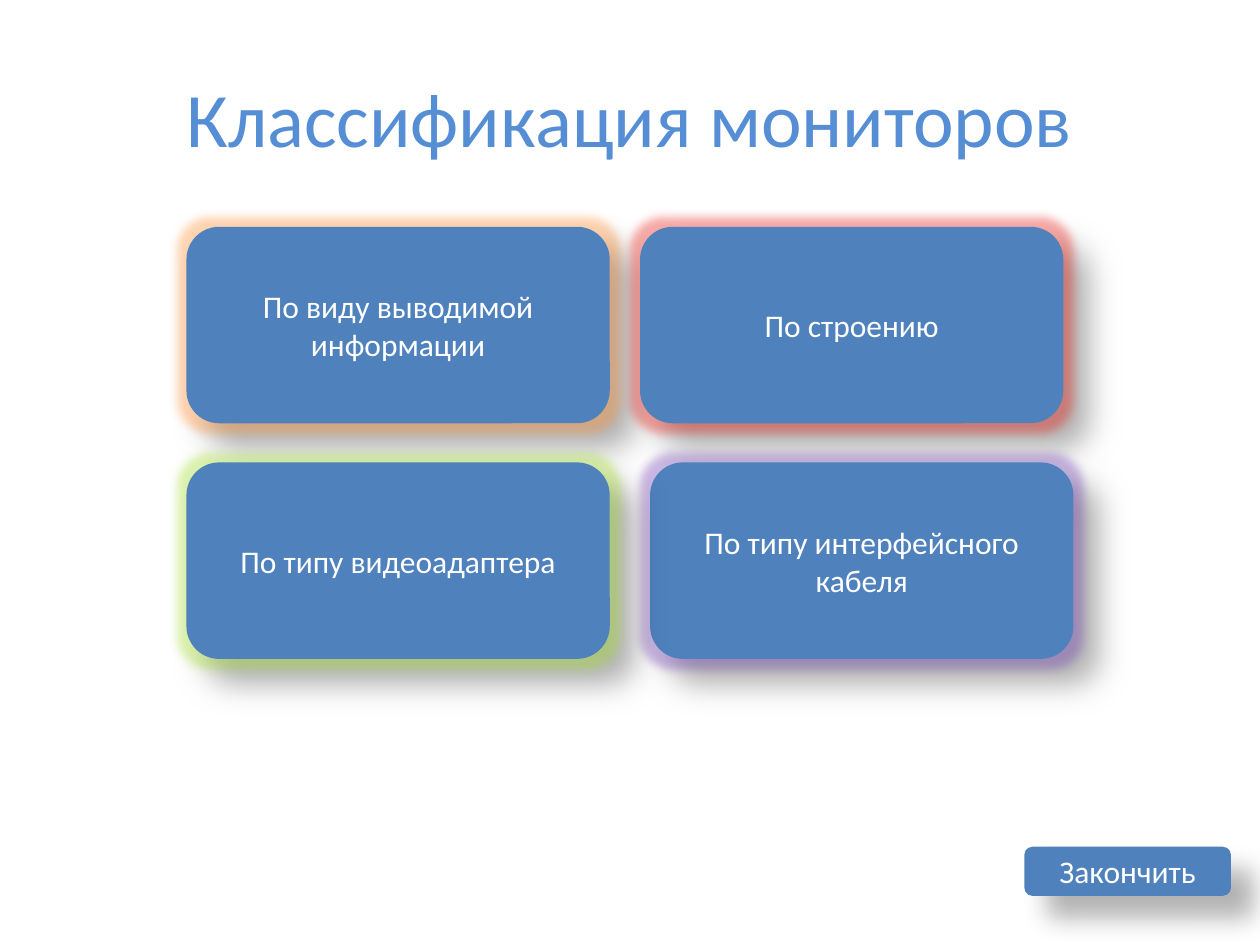
from lxml.etree import SubElement
from pptx import Presentation
from pptx.dml.color import RGBColor
from pptx.enum.shapes import MSO_SHAPE
from pptx.enum.text import MSO_ANCHOR, PP_ALIGN
from pptx.oxml.ns import qn
from pptx.util import Inches, Pt

FONT = "Calibri"
BLUE, TITLE_BLUE, WHITE = "4F81BD", "558ED5", "FFFFFF"
CARD_WIDTH, CARD_HEIGHT = 3.36, 1.56
LEFT, TOP, ROW_STEP = 1.48, 1.8, 1.87

# Each row: left edge, label and glow colour of its cards
CARD_ROWS = [
    [(LEFT, "По виду выводимой информации", "FF943D"),
     (5.08, "По строению", "EC2A21")],
    [(5.16, "По типу интерфейсного кабеля", "7D4CBA"),
     (LEFT, "По типу видеоадаптера", "A7DF34")],
]


def color(value):
    return RGBColor.from_string(value)


def format_text(frame, text, size, text_color):
    frame.text = text
    frame.word_wrap = True
    frame.vertical_anchor = MSO_ANCHOR.MIDDLE
    para = frame.paragraphs[0]
    para.alignment = PP_ALIGN.CENTER
    para.font.name = FONT
    para.font.size = Pt(size)
    para.font.color.rgb = color(text_color)


def add_effect(effects, tag, value, opacity, **settings):
    attributes = {name: str(setting) for name, setting in settings.items()}
    effect = SubElement(effects, qn(tag), attributes)
    tint = SubElement(effect, qn("a:srgbClr"), val=value)
    SubElement(tint, qn("a:alpha"), val=str(opacity * 1000))


def add_button(page, box, text, glow=None):
    button = page.shapes.add_shape(MSO_SHAPE.ROUNDED_RECTANGLE, *map(Inches, box))
    button.fill.solid()
    button.fill.fore_color.rgb = color(BLUE)
    button.line.fill.background()
    format_text(button.text_frame, text, 18, WHITE)

    # Glow and soft shadow to the lower right
    button.shadow.inherit = False
    effects = button._element.spPr.find(qn("a:effectLst"))
    if glow:
        add_effect(effects, "a:glow", glow, 40, rad=Pt(11))
    add_effect(effects, "a:outerShdw", "000000", 30, blurRad=Pt(15),
               dist=Pt(18), dir=45 * 60000, algn="tl", rotWithShape=0)


def add_title(page, box, text):
    title = page.shapes.title
    title.left, title.top, title.width, title.height = map(Inches, box)
    format_text(title.text_frame, text, 44, TITLE_BLUE)


def add_cards(page, top):
    for row, cards in enumerate(CARD_ROWS):
        for left, text, glow in cards:
            box = (left, top + row * ROW_STEP, CARD_WIDTH, CARD_HEIGHT)
            add_button(page, box, text, glow)


def main():
    deck = Presentation()
    deck.slide_width, deck.slide_height = Inches(10), Inches(7.5)
    page = deck.slides.add_slide(deck.slide_layouts[5])
    page.background.fill.solid()
    page.background.fill.fore_color.rgb = color(WHITE)

    add_title(page, (0.5, 0.3, 9, 1.25), "Классификация мониторов")
    add_cards(page, TOP)
    # Closing button
    add_button(page, (8.13, 6.72, 1.64, 0.39), "Закончить")
    deck.save("out.pptx")


if __name__ == "__main__":
    main()
